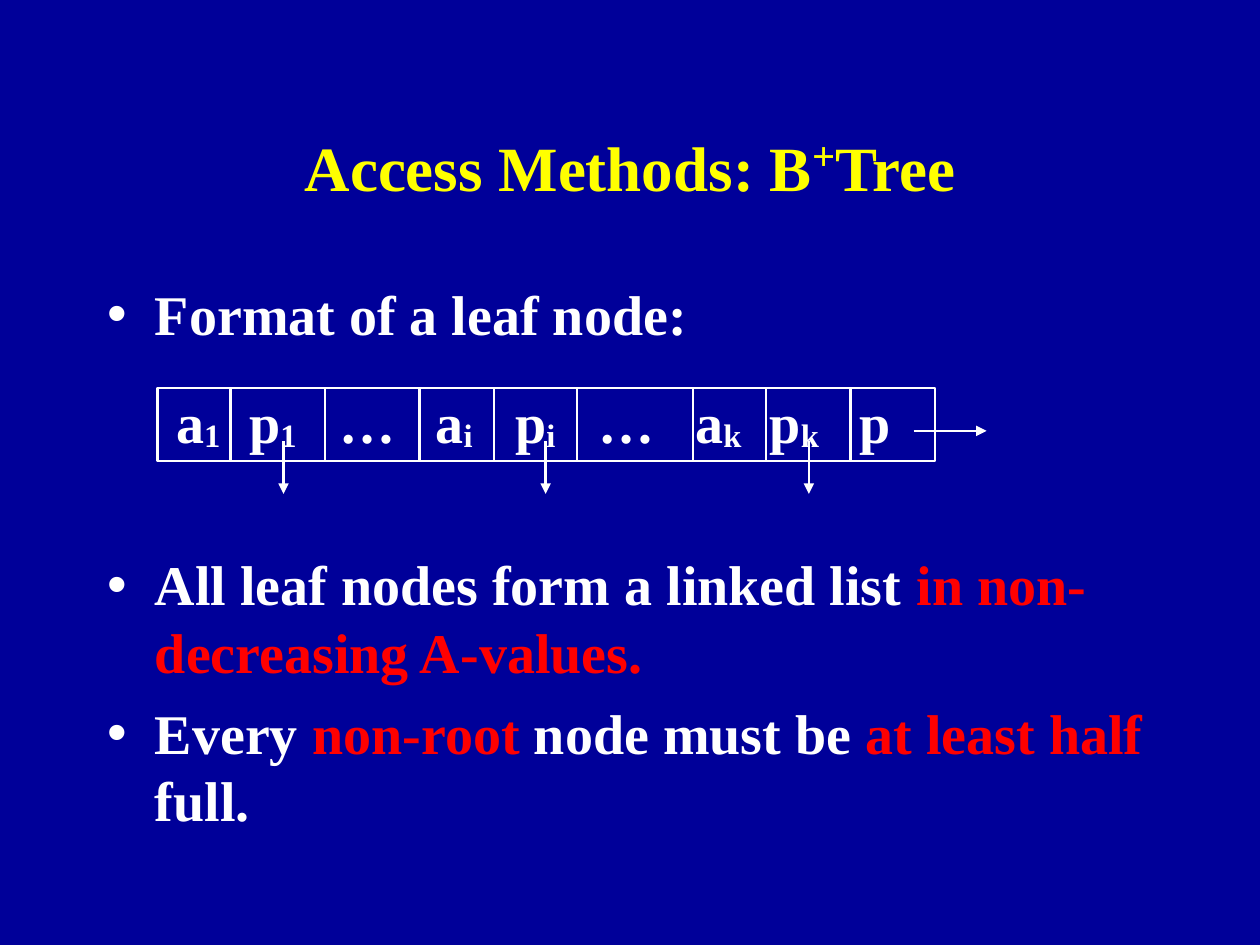
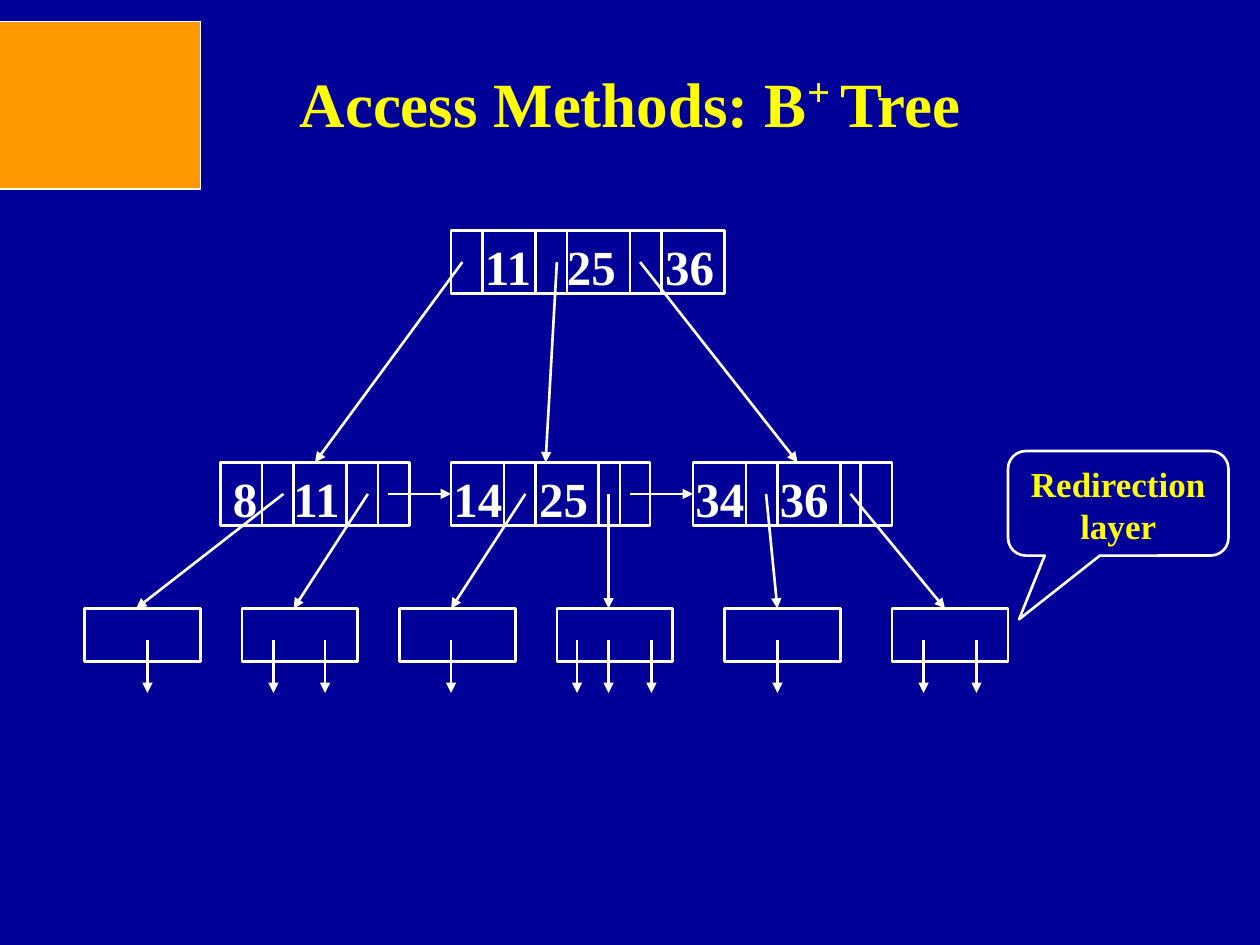
from lxml import etree
from pptx import Presentation
from pptx.dml.color import RGBColor
from pptx.enum.shapes import MSO_CONNECTOR, MSO_SHAPE
from pptx.enum.text import MSO_ANCHOR, MSO_AUTO_SIZE, PP_ALIGN
from pptx.oxml.ns import qn
from pptx.util import Inches, Pt

RECTANGLE = MSO_SHAPE.RECTANGLE
CALLOUT = MSO_SHAPE.ROUNDED_RECTANGULAR_CALLOUT
STRAIGHT = MSO_CONNECTOR.STRAIGHT
TOP, MIDDLE = MSO_ANCHOR.TOP, MSO_ANCHOR.MIDDLE
NO_AUTOFIT = MSO_AUTO_SIZE.NONE
LEFT, CENTER = PP_ALIGN.LEFT, PP_ALIGN.CENTER

NAVY, WHITE, YELLOW = "000099", "FFFFFF", "FFFF00"
RED, ORANGE = "FF0000", "FF9900"
FONT = "Times New Roman"
TITLE_AND_BODY_LAYOUT, TITLE_ONLY_LAYOUT = 1, 5
SUPERSCRIPT, SUBSCRIPT = 30, -6


def color(hex_string):
    return RGBColor.from_string(hex_string)


class Deck:
    """Holds the shared style and the current slide."""

    def __init__(self):
        self.presentation = Presentation()
        self.presentation.slide_width = Inches(10)
        self.presentation.slide_height = Inches(7.5)
        fill = self.presentation.slide_master.background.fill
        fill.solid()
        fill.fore_color.rgb = color(NAVY)
        self.slide = None

    def add_slide(self, layout):
        layout = self.presentation.slide_layouts[layout]
        self.slide = self.presentation.slides.add_slide(layout)

    def place(self, shape, left, top, width, height):
        shape.left, shape.top = Inches(left), Inches(top)
        shape.width, shape.height = Inches(width), Inches(height)

    def style(self, paragraph, size, text_color=WHITE, alignment=LEFT):
        paragraph.alignment = alignment
        font = paragraph.font
        font.name, font.size, font.bold = FONT, Pt(size), True
        font.color.rgb = color(text_color)

    def add_run(self, paragraph, text, text_color=None, baseline=0, size=None):
        run = paragraph.add_run()
        run.text = text
        if text_color:
            run.font.color.rgb = color(text_color)
        if size:
            run.font.size = Pt(size)
        if baseline:
            run.font._element.set("baseline", str(baseline * 1000))

    def set_bullet(self, paragraph, margin, bullet):
        properties = paragraph._p.get_or_add_pPr()
        properties.set("marL", str(Inches(margin)))
        properties.set("indent", str(Inches(-margin)))
        etree.SubElement(properties, qn("a:buChar")).set("char", bullet)

    def set_tabs(self, paragraph, stops):
        properties = paragraph._p.get_or_add_pPr()
        tab_list = etree.SubElement(properties, qn("a:tabLst"))
        for stop in stops:
            tab = etree.SubElement(tab_list, qn("a:tab"))
            tab.set("pos", str(Inches(stop)))
            tab.set("algn", "l")

    def title(self, top, height, plus):
        shape = self.slide.shapes.title
        self.place(shape, 0.75, top, 8.5, height)
        frame = shape.text_frame
        frame.vertical_anchor, frame.auto_size = MIDDLE, NO_AUTOFIT
        paragraph = frame.paragraphs[0]
        self.style(paragraph, 36, YELLOW, CENTER)
        self.add_run(paragraph, "Access Methods: B")
        self.add_run(paragraph, plus, baseline=SUPERSCRIPT, size=40)
        self.add_run(paragraph, "Tree")

    def body(self, left, top, width, height):
        shape = self.slide.placeholders[1]
        self.place(shape, left, top, width, height)
        shape.text_frame.auto_size = NO_AUTOFIT
        return shape.text_frame

    def bullet(self, paragraph, runs, space_before):
        self.set_bullet(paragraph, 0.38, "•")
        paragraph.space_before = Pt(space_before)
        self.style(paragraph, 32)
        for run in runs:
            self.add_run(paragraph, *run)

    def tabbed_text(self, left, top, width, stops, size=28):
        box = self.slide.shapes.add_textbox(
            Inches(left), Inches(top), Inches(width), Inches(0.57))
        box.text_frame.word_wrap = True
        paragraph = box.text_frame.paragraphs[0]
        self.set_tabs(paragraph, stops)
        self.style(paragraph, size)
        return paragraph

    def keys(self, left, top, width, text, stops):
        self.add_run(self.tabbed_text(left, top, width, stops), text)

    def shape(self, kind, left, top, width, height, fill=None, line_width=1.5):
        shape = self.slide.shapes.add_shape(
            kind, Inches(left), Inches(top), Inches(width), Inches(height))
        shape.shadow.inherit = False
        if fill:
            shape.fill.solid()
            shape.fill.fore_color.rgb = color(fill)
        else:
            shape.fill.background()
        shape.line.color.rgb = color(WHITE)
        shape.line.width = Pt(line_width)
        return shape

    def line(self, start, end, arrow=False):
        connector = self.slide.shapes.add_connector(
            STRAIGHT, *(Inches(value) for value in (*start, *end)))
        connector.line.color.rgb = color(WHITE)
        connector.line.width = Pt(1.5)
        properties = connector._element.spPr
        if arrow:
            outline = properties.find(qn("a:ln"))
            etree.SubElement(outline, qn("a:tailEnd")).set("type", "triangle")
        etree.SubElement(properties, qn("a:effectLst"))

    def arrow(self, start, end):
        self.line(start, end, arrow=True)

    def down_arrows(self, top, positions):
        for x in positions:
            self.arrow((x, top), (x, top + 0.42))

    def node(self, left, top, width, height, dividers=()):
        self.shape(RECTANGLE, left, top, width, height)
        for x in dividers:
            self.line((x, top), (x, top + height))


def build_leaf_format(deck):
    deck.add_slide(TITLE_AND_BODY_LAYOUT)
    deck.title(0.67, 1.25, "+")

    # Properties of leaf nodes, with room for the diagram
    frame = deck.body(0.75, 2.17, 8.5, 4.5)
    deck.bullet(frame.paragraphs[0], [("Format of a leaf node:",)], 0)
    deck.bullet(frame.add_paragraph(), [
        ("All leaf nodes form a linked list ",),
        ("in non-decreasing A-values.", RED)], 116)
    deck.bullet(frame.add_paragraph(), [
        ("Every ",), ("non-root ", RED), ("node must be ",),
        ("at least half ", RED), ("full.",)], 8)

    # Contents of the leaf node, one tab stop per cell after the first
    fields = deck.tabbed_text(
        1.3, 3.03, 6.1, (0.58, 1.3, 2.06, 2.69, 3.35, 4.12, 4.71, 5.42), 32)
    deck.add_run(fields, "a")
    deck.add_run(fields, "1", baseline=SUBSCRIPT)
    for name, index in (("p", "1"), ("…", ""), ("a", "i"), ("p", "i"),
                        ("…", ""), ("a", "k"), ("p", "k"), ("p", "")):
        deck.add_run(fields, "\t" + name)
        if index:
            deck.add_run(fields, index, baseline=SUBSCRIPT)

    # Cells and pointers
    deck.node(1.25, 3.08, 6.17, 0.58,
              (1.83, 2.58, 3.33, 3.92, 4.58, 5.5, 6.08, 6.75))
    deck.down_arrows(3.5, (2.25, 4.33, 6.42))
    deck.arrow((7.25, 3.42), (7.83, 3.42))


def build_tree_example(deck):
    deck.add_slide(TITLE_ONLY_LAYOUT)
    deck.title(0.33, 0.92, "+ ")
    root_top, leaf_top, bucket_top = 1.83, 3.67, 4.83

    # Root
    deck.node(3.58, root_top, 2.17, 0.5, (3.83, 4.25, 4.5, 5, 5.25))
    deck.keys(3.75, root_top, 2.08, "11\t25\t36", (0.65, 1.43))
    for start, end in ((3.67, 2.5), (4.42, 4.33), (5.08, 6.33)):
        deck.arrow((start, root_top + 0.25), (end, leaf_top))

    # Leaves: left, width, dividers, text left, keys, second key stop
    leaves = (
        (1.75, 1.5, (2.08, 2.33, 2.75, 3), 1.75, "8\t11", 0.48),
        (3.58, 1.58, (4, 4.25, 4.75, 4.92), 3.5, "14\t25", 0.68),
        (5.5, 1.58, (5.92, 6.17, 6.67, 6.83), 5.42, "34\t36", 0.67),
    )
    for left, width, dividers, text_left, text, stop in leaves:
        deck.node(left, leaf_top, width, 0.5, dividers)
        deck.keys(text_left, leaf_top, 1.45, text, (stop,))
    pointer_top = leaf_top + 0.25
    for start, end in ((3.08, 3.58), (5, 5.5)):
        deck.arrow((start, pointer_top), (end, pointer_top))

    # Redirection layer: bucket left, leaf pointer start and end, record pointers
    buckets = (
        (0.67, 2.25, 1.08, (1.17,)),
        (1.92, 2.92, 2.33, (2.17, 2.58)),
        (3.17, 4.17, 3.58, (3.58,)),
        (4.42, 4.83, 4.83, (4.58, 4.83, 5.17)),
        (5.75, 6.08, 6.17, (6.17,)),
        (7.08, 6.75, 7.5, (7.33, 7.75)),
    )
    for left, start, end, records in buckets:
        deck.node(left, bucket_top, 0.92, 0.42)
        deck.arrow((start, pointer_top), (end, bucket_top))
        deck.down_arrows(bucket_top + 0.25, records)

    # Callout
    callout = deck.shape(CALLOUT, 8, 3.58, 1.75, 0.83)
    for index, value in enumerate((-0.45, 1.11, 0.17)):
        callout.adjustments[index] = value
    frame = callout.text_frame
    frame.word_wrap, frame.vertical_anchor = True, TOP
    deck.style(frame.paragraphs[0], 20, YELLOW, CENTER)
    deck.add_run(frame.paragraphs[0], "Redirection layer", YELLOW)

    # Corner block
    deck.shape(RECTANGLE, -1.33, 0.17, 2.92, 1.33, ORANGE, 0.75)


def main():
    deck = Deck()
    build_leaf_format(deck)
    build_tree_example(deck)
    deck.presentation.save("out.pptx")


if __name__ == "__main__":
    main()
